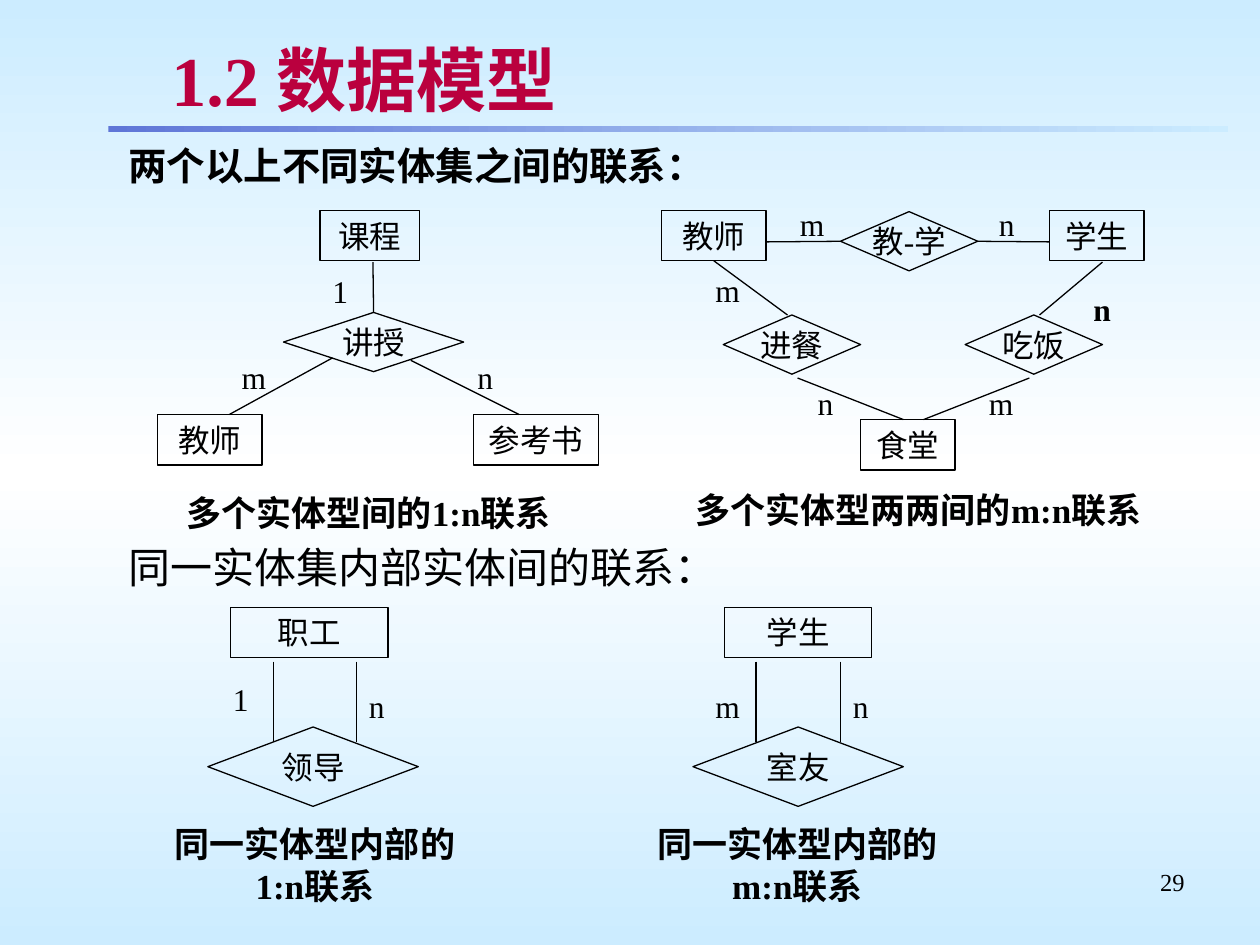
from copy import deepcopy
from math import hypot

from lxml import etree
from pptx import Presentation
from pptx.dml.color import RGBColor
from pptx.enum.shapes import MSO_CONNECTOR, MSO_SHAPE
from pptx.enum.text import MSO_ANCHOR, PP_ALIGN
from pptx.oxml.ns import qn
from pptx.util import Inches, Pt

RECTANGLE, DIAMOND = MSO_SHAPE.RECTANGLE, MSO_SHAPE.DIAMOND
STRAIGHT = MSO_CONNECTOR.STRAIGHT
LEFT, CENTER, RIGHT = PP_ALIGN.LEFT, PP_ALIGN.CENTER, PP_ALIGN.RIGHT
TOP, MIDDLE = MSO_ANCHOR.TOP, MSO_ANCHOR.MIDDLE

SERIF, SANS = "Times New Roman", "Arial"
BLACK, CRIMSON, SHADOW = "000000", "BA003E", "A0A0A0"
SKY, WHITE, INDIGO = "CCECFF", "FFFFFF", "5F76D7"
ROW_HEIGHT = 0.4
JOIN_DISTANCE = 0.02

TITLE = "1.2 数据模型"
PAGE_NUMBER = "29"
HEADINGS = [
    ("两个以上不同实体集之间的联系：", (0.42, 1.08, 9.25, 0.6), 22, SERIF, True),
    ("同一实体集内部实体间的联系：", (0.42, 4.25, 9.17, 0.58), 24, SANS, False),
]
DIAGRAMS = [
    {
        "entities": [("课程", 2.54, 1.67, 0.79), ("教师", 1.25, 3.29, 0.83),
                     ("参考书", 3.76, 3.29, 0.99)],
        "relations": [("讲授", 2.25, 2.48, 1.43, 0.47)],
        "labels": [("1", 2.54, 2.11), ("m", 1.82, 2.79), ("n", 3.69, 2.79)],
        "lines": [(1.82, 3.29, 2.64, 2.84), (3.26, 2.86, 4.12, 3.29),
                  (2.96, 2.49, 2.96, 2.08)],
        "caption": ("多个实体型间的1:n联系", 1.17, 3.85, 3.51, 0.44),
    },
    {
        "entities": [("教师", 5.25, 1.67, 0.83), ("学生", 8.33, 1.67, 0.75),
                     ("食堂", 6.83, 3.33, 0.75)],
        "relations": [("教-学", 6.67, 1.68, 1.09, 0.47), ("进餐", 5.74, 2.5, 1.09, 0.47),
                      ("吃饭", 7.66, 2.5, 1.09, 0.47)],
        "labels": [("m", 6.25, 1.58), ("n", 7.83, 1.58), ("m", 5.58, 2.1),
                   ("n", 8.58, 2.25, True), ("n", 6.39, 3), ("m", 7.75, 3)],
        "lines": [(5.67, 2.08, 6.25, 2.5), (6.33, 3, 7.17, 3.33), (7.33, 3.33, 8.17, 3),
                  (6.08, 1.92, 6.67, 1.92), (7.75, 1.92, 8.33, 1.92),
                  (8.25, 2.5, 8.75, 2.08)],
        "caption": ("多个实体型两两间的m:n联系", 5.33, 3.83, 3.92, 0.44),
    },
    {
        "entities": [("职工", 1.83, 4.82, 1.25)],
        "relations": [("领导", 1.65, 5.77, 1.67, 0.63)],
        "labels": [("1", 1.75, 5.35), ("n", 2.83, 5.4)],
        "lines": [(2.17, 5.25, 2.17, 5.89), (2.83, 5.25, 2.83, 5.89)],
        "caption": ("同一实体型内部的1:n联系", 1.25, 6.48, 2.5, 0.77),
    },
    {
        "entities": [("学生", 5.75, 4.82, 1.17)],
        "relations": [("室友", 5.5, 5.77, 1.67, 0.63)],
        "labels": [("m", 5.58, 5.4), ("n", 6.67, 5.4)],
        "lines": [(6, 5.25, 6, 5.89), (6.67, 5.25, 6.67, 5.89)],
        "caption": ("同一实体型内部的m:n联系", 5.08, 6.48, 2.5, 0.77),
    },
]


def color(value):
    return RGBColor.from_string(value)


def lengths(box):
    return [Inches(value) for value in box]


def set_gradient(fill, element, stops, angle):
    fill.gradient()
    fill.gradient_angle = angle
    stop_list = element.find(".//" + qn("a:gsLst"))
    while len(stop_list) < len(stops):
        stop_list.append(deepcopy(stop_list[0]))
    for stop, (position, value) in zip(fill.gradient_stops, stops):
        stop.position = position
        stop.color.rgb = color(value)


def write(shape, text, size=18, bold=False, font=SERIF, value=BLACK,
          align=LEFT, anchor=TOP, wrap=True, inset=0.05):
    frame = shape.text_frame
    frame.word_wrap = wrap
    frame.vertical_anchor = anchor
    frame.margin_left = frame.margin_right = Inches(0.1)
    frame.margin_top = frame.margin_bottom = Inches(inset)
    paragraph = frame.paragraphs[0]
    paragraph.alignment = align
    run = paragraph.add_run()
    run.text = text
    run.font.size, run.font.bold, run.font.name = Pt(size), bold, font
    run.font.color.rgb = color(value)
    return paragraph, run


def add_text(shapes, text, box, **style):
    return write(shapes.add_textbox(*lengths(box)), text, **style)


def add_node(shapes, kind, text, box, **style):
    shape = shapes.add_shape(kind, *lengths(box))
    shape.shadow.inherit = False
    shape.fill.background()
    shape.line.color.rgb = color(BLACK)
    shape.line.width = Pt(0.75)
    write(shape, text, align=CENTER, **style)
    left, top, width, height = box
    sites = [(left + width / 2, top), (left, top + height / 2),
             (left + width / 2, top + height), (left + width, top + height / 2)]
    return shape, sites


def add_line(shapes, ends, nodes):
    connector = shapes.add_connector(STRAIGHT, *lengths(ends))
    connector.line.color.rgb = color(BLACK)
    connector.line.width = Pt(0.75)
    etree.SubElement(connector.element.spPr, qn("a:effectLst"))
    for connect, (x, y) in ((connector.begin_connect, ends[:2]),
                            (connector.end_connect, ends[2:])):
        for shape, sites in nodes:
            for index, (site_x, site_y) in enumerate(sites):
                if hypot(site_x - x, site_y - y) < JOIN_DISTANCE:
                    connect(shape, index)


def add_diagram(slide, diagram):
    shapes = slide.shapes.add_group_shape().shapes
    nodes = [add_node(shapes, RECTANGLE, text, (left, top, width, ROW_HEIGHT))
             for text, left, top, width in diagram["entities"]]
    nodes += [add_node(shapes, DIAMOND, text, box, anchor=MIDDLE, wrap=False)
              for text, *box in diagram["relations"]]
    for ends in diagram["lines"]:
        add_line(shapes, ends, nodes)
    for text, left, top, *bold in diagram["labels"]:
        add_text(shapes, text, (left, top, 0.36, ROW_HEIGHT), bold=bool(bold))
    text, *box = diagram["caption"]
    add_text(shapes, text, box, size=20, bold=True, align=CENTER)


def add_title(slide):
    title = slide.shapes.title
    title.left, title.top, title.width, title.height = lengths((1.26, 0.29, 8.24, 0.67))
    run = write(title, TITLE, size=40, bold=True, value=CRIMSON, anchor=MIDDLE, inset=0.04)[1]
    effects = etree.Element(qn("a:effectLst"))
    shadow = etree.SubElement(effects, qn("a:outerShdw"), dist="25400", dir="2700000")
    etree.SubElement(shadow, qn("a:srgbClr"), val=SHADOW)
    run.font.fill
    run.font._element.find(qn("a:solidFill")).addnext(effects) if hasattr(
        run.font, "_element") else run._r.rPr.find(qn("a:solidFill")).addnext(effects)


def main():
    presentation = Presentation()
    presentation.slide_width, presentation.slide_height = lengths((10, 7.5))
    slide = presentation.slides.add_slide(presentation.slide_layouts[5])
    set_gradient(slide.background.fill, slide.element,
                 [(0, SKY), (0.5, WHITE), (1, SKY)], 90)

    rule = slide.shapes.add_shape(RECTANGLE, *lengths((0.86, 1, 8.89, 0.05)))
    rule.shadow.inherit = False
    rule.line.fill.background()
    set_gradient(rule.fill, rule.element, [(0, INDIGO), (1, SKY)], 0)

    add_title(slide)
    for text, box, size, font, bold in HEADINGS:
        paragraph = add_text(slide.shapes, text, box, size=size, font=font, bold=bold)[0]
        properties = paragraph._p.get_or_add_pPr()
        properties.set("marL", str(Inches(0.81)))
        properties.set("indent", str(Inches(-0.31)))
    for diagram in DIAGRAMS:
        add_diagram(slide, diagram)
    add_text(slide.shapes, PAGE_NUMBER, (7.17, 6.83, 2.33, 0.52), size=14, align=RIGHT)
    presentation.save("out.pptx")


if __name__ == "__main__":
    main()
